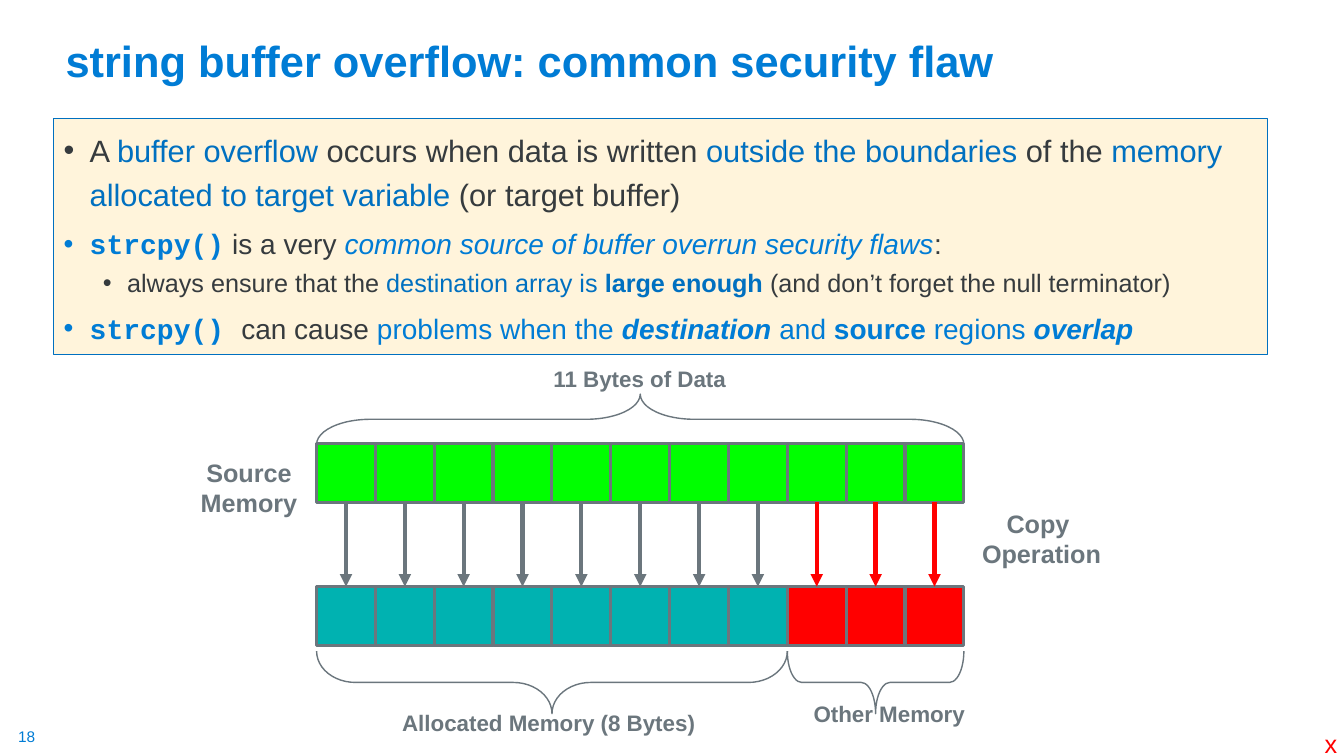
from pptx import Presentation
from pptx.dml.color import RGBColor
from pptx.enum.shapes import MSO_CONNECTOR as Link, MSO_SHAPE as Shape
from pptx.enum.text import MSO_ANCHOR as Anchor, MSO_AUTO_SIZE as Fit, PP_ALIGN as Align
from pptx.oxml.ns import qn
from pptx.util import Inches, Pt
from lxml.etree import SubElement

# Content
INK, BLUE, SKY, GREY = "363B3E", "0070C0", "007CD5", "6B767D"
RED, GREEN, TEAL, CREAM = "FF0000", "00FF00", "00B2B1", "FFF4DB"
SANS, MONO = "Arial", "Courier New"
TITLE = "string buffer overflow: common security flaw"

STYLES = {
    "ink": {"color": INK},
    "blue": {"color": BLUE},
    "blue bold": {"color": BLUE, "bold": True},
    "sky": {"color": SKY},
    "sky bold": {"color": SKY, "bold": True},
    "sky italic": {"color": SKY, "italic": True},
    "sky both": {"color": SKY, "bold": True, "italic": True},
    "code": {"color": SKY, "bold": True, "name": MONO},
}

# Level, size, line spacing, space before, runs
POINTS = [
    (0, 22, 1.2, 0, [
        ("A ", "ink"), ("buffer overflow ", "blue"),
        ("occurs when data is written ", "ink"),
        ("outside the boundaries ", "blue"), ("of the ", "ink"),
        ("memory allocated to target variable ", "blue"),
        ("(or target buffer)", "ink")]),
    (0, 20, 1.0, 10, [
        ("strcpy()", "code"), (" is a very ", "ink"),
        ("common source of buffer overrun security flaws", "sky italic"),
        (":", "ink")]),
    (1, 18, 1.0, 5, [
        ("always ensure that the ", "ink"), ("destination array is ", "blue"),
        ("large enough ", "blue bold"),
        ("(and don’t forget the null terminator)", "ink")]),
    (0, 20, 1.0, 10, [
        ("strcpy() ", "code"), ("can cause ", "ink"),
        ("problems when the ", "sky"), ("destination", "sky both"),
        (" and ", "sky"), ("source", "sky bold"),
        (" regions ", "sky"), ("overlap", "sky both")]),
]
INDENTS = [(0.26, -0.26), (0.63, -0.24)]

# Lines, box, size, colour, bold, alignment, inset
LABELS = [
    (["11 Bytes of Data"], (5.39, 3.57, 1.93, 0.37), 16, GREY, True, Align.LEFT, 0.1),
    (["Source", "Memory"], (1.89, 4.49, 1.16, 0.7), 18, GREY, True, Align.CENTER, 0.1),
    (["Copy ", "Operation"], (9.64, 4.99, 1.38, 0.7), 18, GREY, True, Align.CENTER, 0.1),
    (["Allocated Memory (8 Bytes)"], (3.89, 6.99, 3.12, 0.37), 16, GREY, True, Align.LEFT, 0.1),
    (["Other Memory"], (7.97, 6.9, 1.71, 0.37), 16, GREY, True, Align.LEFT, 0.1),
    (["18"], (0.18, 7.21, 0.19, 0.19), 11, SKY, False, Align.LEFT, 0),
    (["x"], (13.04, 7.18, 0.33, 0.4), 18, RED, False, Align.LEFT, 0.1),
]

BYTES, ROOM = 11, 8
LEFT, SPAN = 3.14, 6.42
SIDE = SPAN / BYTES
SOURCE_TOP, TARGET_TOP = 4.4, 5.82

# First cell, cell count, top, depth, rotation, curve
BRACES = [
    (0, BYTES, 3.91, 0.5, 90, 1.07),
    (0, ROOM, 6.46, 0.62, 270, 0.62),
    (ROOM, BYTES - ROOM, 6.46, 0.62, 270, 0.23),
]


def rgb(code):
    return RGBColor.from_string(code)


def style(font, color, **values):
    font.color.rgb = rgb(color)
    for key, value in {"name": SANS, "bold": False, "italic": False, **values}.items():
        setattr(font, key, value)


def place(shape, box):
    for key, value in zip(("left", "top", "width", "height"), box):
        setattr(shape, key, Inches(value))


def outline(shape, color, width):
    shape.line.color.rgb = rgb(color)
    shape.line.width = Pt(width)


def bullet(para, level):
    props = para._p.get_or_add_pPr()
    margin, indent = INDENTS[level]
    props.set("marL", str(Inches(margin)))
    props.set("indent", str(Inches(indent)))
    SubElement(props, qn("a:buFont"), typeface=SANS)
    SubElement(props, qn("a:buChar"), char="•")


def label(slide, lines, box, size, color, bold, align, inset):
    frame = slide.shapes.add_textbox(*map(Inches, box)).text_frame
    frame.word_wrap = False
    frame.auto_size = Fit.SHAPE_TO_FIT_TEXT
    frame.margin_left = frame.margin_right = Inches(inset)
    frame.margin_top = frame.margin_bottom = Inches(inset / 2)
    frame.text = "\n".join(lines)
    for para in frame.paragraphs:
        para.alignment = align
        style(para.runs[0].font, color, size=Pt(size), bold=bold)


def cell(slide, index, top, color):
    box = (LEFT + index * SIDE, top, SIDE, SIDE)
    shape = slide.shapes.add_shape(Shape.RECTANGLE, *map(Inches, box))
    shape.shadow.inherit = False
    shape.fill.solid()
    shape.fill.fore_color.rgb = rgb(color)
    outline(shape, GREY, 2.25)
    return shape


def arrow(slide, start, end, color):
    link = slide.shapes.add_connector(Link.STRAIGHT, 0, 0, 0, 0)
    link.begin_connect(start, 2)
    link.end_connect(end, 0)
    outline(link, color, 3)
    SubElement(link.line._get_or_add_ln(), qn("a:tailEnd"), type="triangle")
    SubElement(link._element.spPr, qn("a:effectLst"))


def brace(slide, first, count, top, depth, turn, curve):
    wide = count * SIDE
    mid = LEFT + first * SIDE + wide / 2
    box = (mid - depth / 2, top + depth / 2 - wide / 2, depth, wide)
    shape = slide.shapes.add_shape(Shape.LEFT_BRACE, *map(Inches, box))
    shape.rotation = turn
    shape.adjustments[0] = curve
    shape.shadow.inherit = False
    shape.fill.background()
    outline(shape, GREY, 1)


def main():
    deck = Presentation()
    deck.slide_width, deck.slide_height = Inches(13.33), Inches(7.5)
    slide = deck.slides.add_slide(deck.slide_layouts[1])

    # Title
    title = slide.shapes.title
    place(title, (0.55, 0.13, 11.5, 0.78))
    title.text = TITLE
    title.text_frame.vertical_anchor = Anchor.BOTTOM
    title.text_frame.auto_size = Fit.NONE
    head = title.text_frame.paragraphs[0]
    head.alignment, head.line_spacing = Align.LEFT, 0.9
    style(head.runs[0].font, SKY, size=Pt(31), bold=True)

    # Bullet list
    body = slide.placeholders[1]
    place(body, (0.53, 1.18, 12.04, 2.34))
    body.fill.solid()
    body.fill.fore_color.rgb = rgb(CREAM)
    outline(body, BLUE, 0.75)
    frame = body.text_frame
    frame.auto_size = Fit.NONE
    for index, (level, size, spacing, before, runs) in enumerate(POINTS):
        para = frame.add_paragraph() if index else frame.paragraphs[0]
        para.level = level
        bullet(para, level)
        para.line_spacing, para.space_before = spacing, Pt(before)
        for text, look in runs:
            run = para.add_run()
            run.text = text
            style(run.font, size=Pt(size), **STYLES[look])

    # Memory cells and copy arrows
    for index in range(BYTES):
        fits = index < ROOM
        source = cell(slide, index, SOURCE_TOP, GREEN)
        target = cell(slide, index, TARGET_TOP, TEAL if fits else RED)
        arrow(slide, source, target, GREY if fits else RED)

    # Braces and labels
    for item in BRACES:
        brace(slide, *item)
    for item in LABELS:
        label(slide, *item)

    deck.save("out.pptx")


if __name__ == "__main__":
    main()
